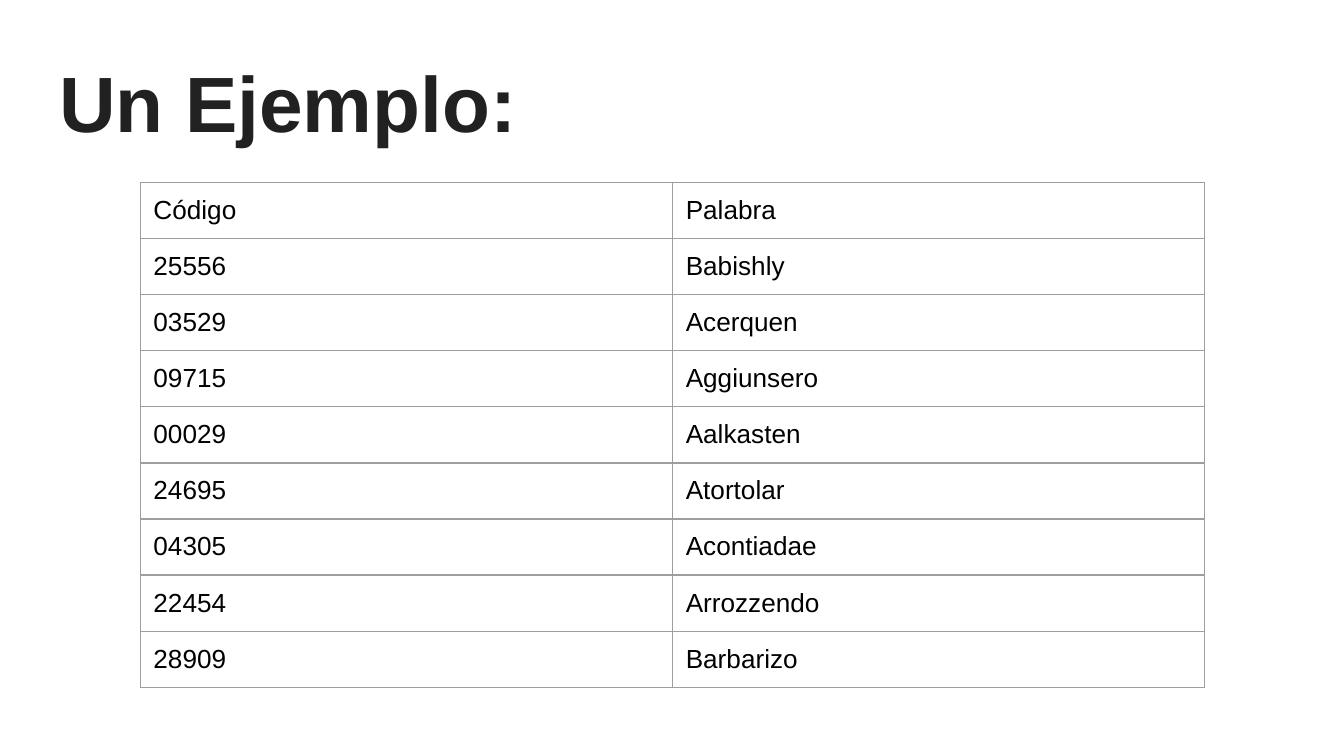
"""Build a slide with a title and a two-column table of codes and words."""
import pptx
import pptx.dml.color
import pptx.enum.text
import pptx.oxml
import pptx.oxml.ns
import pptx.util

Cm, Pt = pptx.util.Cm, pptx.util.Pt
RGBColor = pptx.dml.color.RGBColor
INK = RGBColor(0x21, 0x21, 0x21)
BLACK = RGBColor(0, 0, 0)
GREY = RGBColor(0x9E, 0x9E, 0x9E)
INSET = Cm(0.25)
MARGINS = {f"margin_{side}": INSET for side in ("left", "top", "right", "bottom")}
ROWS = [
    ("Código", "Palabra"),
    ("25556", "Babishly"),
    ("03529", "Acerquen"),
    ("09715", "Aggiunsero"),
    ("00029", "Aalkasten"),
    ("24695", "Atortolar"),
    ("04305", "Acontiadae"),
    ("22454", "Arrozzendo"),
    ("28909", "Barbarizo"),
]


def set_all(obj, values):
    for name, value in values.items():
        setattr(obj, name, value)


def write(p, text, size, color, bold):
    r = p.add_run()
    r.text = text
    set_all(r.font, {"name": "Arial", "size": Pt(size), "bold": bold})
    r.font.color.rgb = color


prs = pptx.Presentation()
set_all(prs, {"slide_width": Cm(25.4), "slide_height": Cm(14.29)})
s = prs.slides.add_slide(prs.slide_layouts[5])

sp = s.shapes.title
set_all(sp, {"left": Cm(0.87), "top": Cm(0.66), "width": Cm(23.67), "height": Cm(2.24)})
tf = sp.text_frame
set_all(tf, {
    **MARGINS,
    "word_wrap": True,
    "auto_size": pptx.enum.text.MSO_AUTO_SIZE.NONE,
    "vertical_anchor": pptx.enum.text.MSO_ANCHOR.MIDDLE,
})
p = tf.paragraphs[0]
set_all(p, {"alignment": pptx.enum.text.PP_ALIGN.LEFT, "line_spacing": 1.15, "space_before": Pt(0)})
write(p, "Un Ejemplo:", 42, INK, True)

col_width, row_height = Cm(10.06), Cm(1.06)
table = s.shapes.add_table(
    len(ROWS), 2, Cm(2.65), Cm(3.45), 2 * col_width, len(ROWS) * row_height
).table
set_all(table, {"first_row": False, "horz_banding": False})
for col in table.columns:
    col.width = col_width
for row, words in zip(table.rows, ROWS):
    row.height = row_height
    for cell, word in zip(row.cells, words):
        set_all(cell, MARGINS)
        write(cell.text_frame.paragraphs[0], word, 14, BLACK, False)
        tcPr = cell._tc.get_or_add_tcPr()
        for side in ("lnL", "lnR", "lnT", "lnB"):
            tcPr.append(pptx.oxml.parse_xml(
                f'<a:{side} {pptx.oxml.ns.nsdecls("a")} w="{Pt(0.75)}">'
                f'<a:solidFill><a:srgbClr val="{GREY}"/></a:solidFill></a:{side}>'
            ))
        cell.fill.background()

prs.save("out.pptx")
